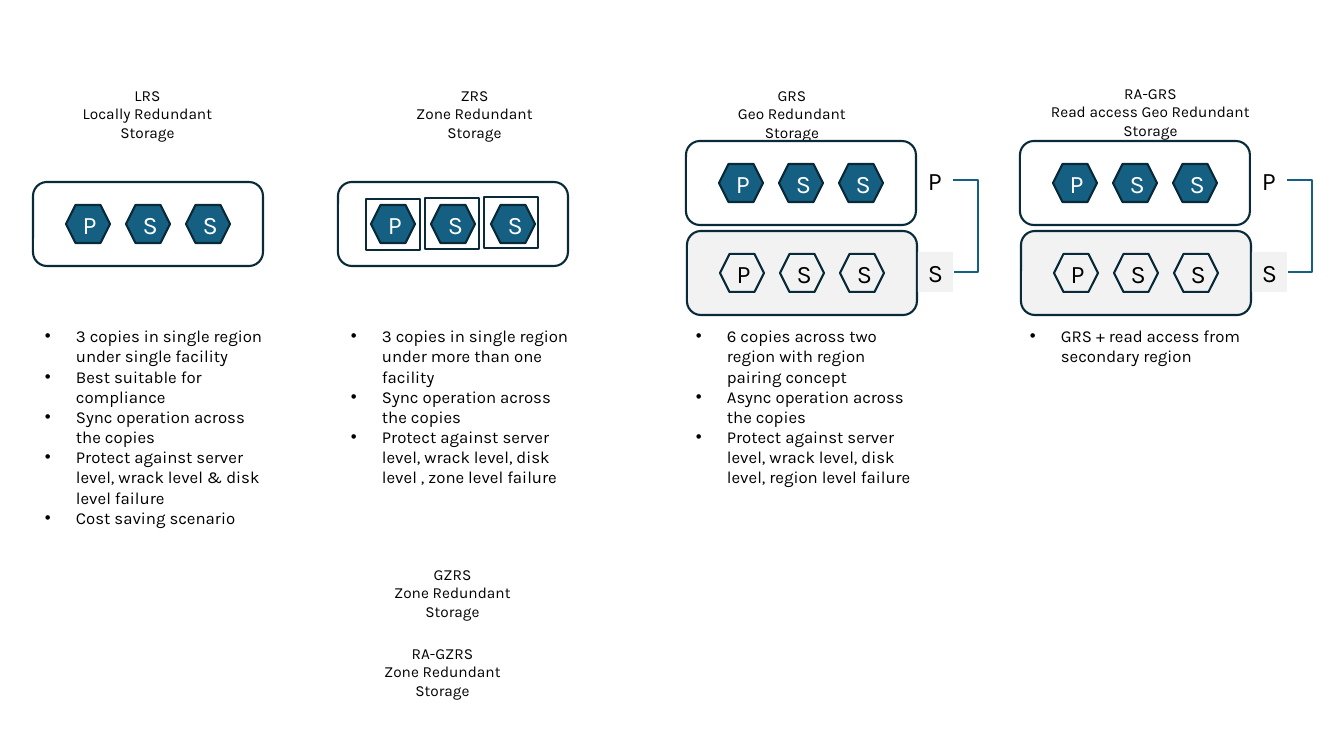
from pptx import Presentation, util as u
from pptx.dml.color import RGBColor
from pptx.enum import shapes, text
from pptx.oxml.ns import qn
from lxml import etree

FONT = "Karla"
INK, NAVY, BLUE, GREY, WHITE = "000000", "092A39", "156082", "F2F2F2", "FFFFFF"

# Content: heading lines with left, top and width in px
HEADINGS = [
    ("LRS", "Locally Redundant Storage", 47, 81, 201),
    ("ZRS", "Zone Redundant Storage", 382, 81, 185),
    ("GRS", "Geo Redundant Storage", 702, 81, 180),
    ("RA-GRS", "Read access Geo Redundant Storage", 1016, 79, 269),
    ("GZRS", "Zone Redundant Storage", 360, 560, 185),
    ("RA-GZRS", "Zone Redundant Storage", 350, 639, 185),
]
# Content: card left and top, zone frames, paired region, notes left and height, notes
OPTIONS = [
    (33, 182, False, False, 35, 214, [
        "3 copies in single region under single facility",
        "Best suitable for compliance",
        "Sync operation across the copies",
        "Protect against server level, wrack level & disk level failure",
        "Cost saving scenario"]),
    (338, 182, True, False, 341, 173, [
        "3 copies in single region under more than one facility",
        "Sync operation across the copies",
        "Protect against server level, wrack level, disk level , zone level failure"]),
    (686, 141, False, True, 686, 173, [
        "6 copies across two region with region pairing concept",
        "Async operation across the copies",
        "Protect against server level, wrack level, disk level, region level failure"]),
    (1020, 141, False, True, 1020, 50, [
        "GRS + read access from secondary region"]),
]
COPIES = ["P", "S", "S"]
CARD_W, CARD_H = 230, 84
HEX_W, HEX_H, HEX_STEP = 44, 38, 60
ZONE_W, ZONE_H, ZONE_STEP = 54, 51, 59
TAG_W, TAG_H = 35, 40
REGION_STEP = 90
LINK_REACH = 25
NOTES_TOP, NOTES_W, INDENT = 321, 243, 31


def px(length):
    return u.Emu(round(length * 914400 / 100.8))


def color(value):
    return RGBColor.from_string(value)


deck = Presentation()
deck.slide_width, deck.slide_height = px(1344), px(756)
page = deck.slides.add_slide(deck.slide_layouts[6])


def add_block(kind, left, top, width, height, fill=None, line=None):
    block = page.shapes.add_shape(kind, px(left), px(top), px(width), px(height))
    block.shadow.inherit = False
    if fill:
        block.fill.solid()
        block.fill.fore_color.rgb = color(fill)
    else:
        block.fill.background()
    if line:
        block.line.color.rgb = color(line)
        block.line.width = u.Pt(1.5)
    else:
        block.line.fill.background()
    return block


def add_box(left, top, width, height):
    return page.shapes.add_textbox(px(left), px(top), px(width), px(height))


def write(box, lines, size, ink=INK, align=text.PP_ALIGN.LEFT,
          anchor=text.MSO_ANCHOR.TOP, bullets=False):
    frame = box.text_frame
    frame.word_wrap = True
    frame.vertical_anchor = anchor
    for number, line in enumerate(lines):
        para = frame.add_paragraph() if number else frame.paragraphs[0]
        para.alignment = align
        span = para.add_run()
        span.text = line
        span.font.name, span.font.size = FONT, u.Pt(size)
        span.font.color.rgb = color(ink)
        if bullets:
            props = para._p.get_or_add_pPr()
            props.set("marL", str(px(INDENT)))
            props.set("indent", str(-px(INDENT)))
            etree.SubElement(props, qn("a:buFont")).set("typeface", "Arial")
            etree.SubElement(props, qn("a:buChar")).set("char", "•")


def add_region(left, top, card_fill, hex_fill, ink):
    add_block(shapes.MSO_SHAPE.ROUNDED_RECTANGLE, left, top, CARD_W, CARD_H,
              card_fill, NAVY)
    for number, copy_name in enumerate(COPIES):
        copy_hex = add_block(shapes.MSO_SHAPE.HEXAGON, left + 33 + number * HEX_STEP,
                             top + 23, HEX_W, HEX_H, hex_fill, NAVY)
        write(copy_hex, [copy_name], 18, ink, text.PP_ALIGN.CENTER,
              text.MSO_ANCHOR.MIDDLE)


def add_link(left, top):
    link = page.shapes.add_connector(shapes.MSO_CONNECTOR.ELBOW, px(left), px(top),
                                     px(left + 1), px(top + REGION_STEP + 2))
    link.line.color.rgb = color(BLUE)
    link.line.width = u.Pt(1.5)
    props = link._element.spPr
    etree.SubElement(props, qn("a:effectLst"))
    # The bend lies far outside the 1 px wide frame
    values = props.find(qn("a:prstGeom")).get_or_add_avLst()
    guide = etree.SubElement(values, qn("a:gd"))
    guide.set("name", "adj1")
    guide.set("fmla", f"val {LINK_REACH * 100000}")


# Headings
for short, full, left, top, width in HEADINGS:
    write(add_box(left, top, width, 47), [short, full], 11, align=text.PP_ALIGN.CENTER)

# Storage options
for left, top, zoned, paired, notes_left, notes_height, notes in OPTIONS:
    add_region(left, top, None, BLUE, WHITE)
    write(add_box(notes_left, NOTES_TOP, NOTES_W, notes_height), notes, 12, bullets=True)

    # Availability zone frames
    if zoned:
        for number in range(len(COPIES)):
            add_block(shapes.MSO_SHAPE.RECTANGLE, left + 28 + number * ZONE_STEP,
                      top + 17 - number, ZONE_W, ZONE_H, line=NAVY)

    # Secondary region with its tags and link
    if paired:
        add_region(left + 1, top + REGION_STEP, GREY, GREY, INK)
        tag_left, tag_top = left + CARD_W + 2, top + 19
        write(add_box(tag_left, tag_top, TAG_W, TAG_H), ["P"], 18)
        secondary_tag = add_block(shapes.MSO_SHAPE.RECTANGLE, tag_left,
                                  tag_top + REGION_STEP + 2, TAG_W, TAG_H, GREY)
        write(secondary_tag, ["S"], 18)
        add_link(tag_left + TAG_W, tag_top + TAG_H // 2)

deck.save("out.pptx")
